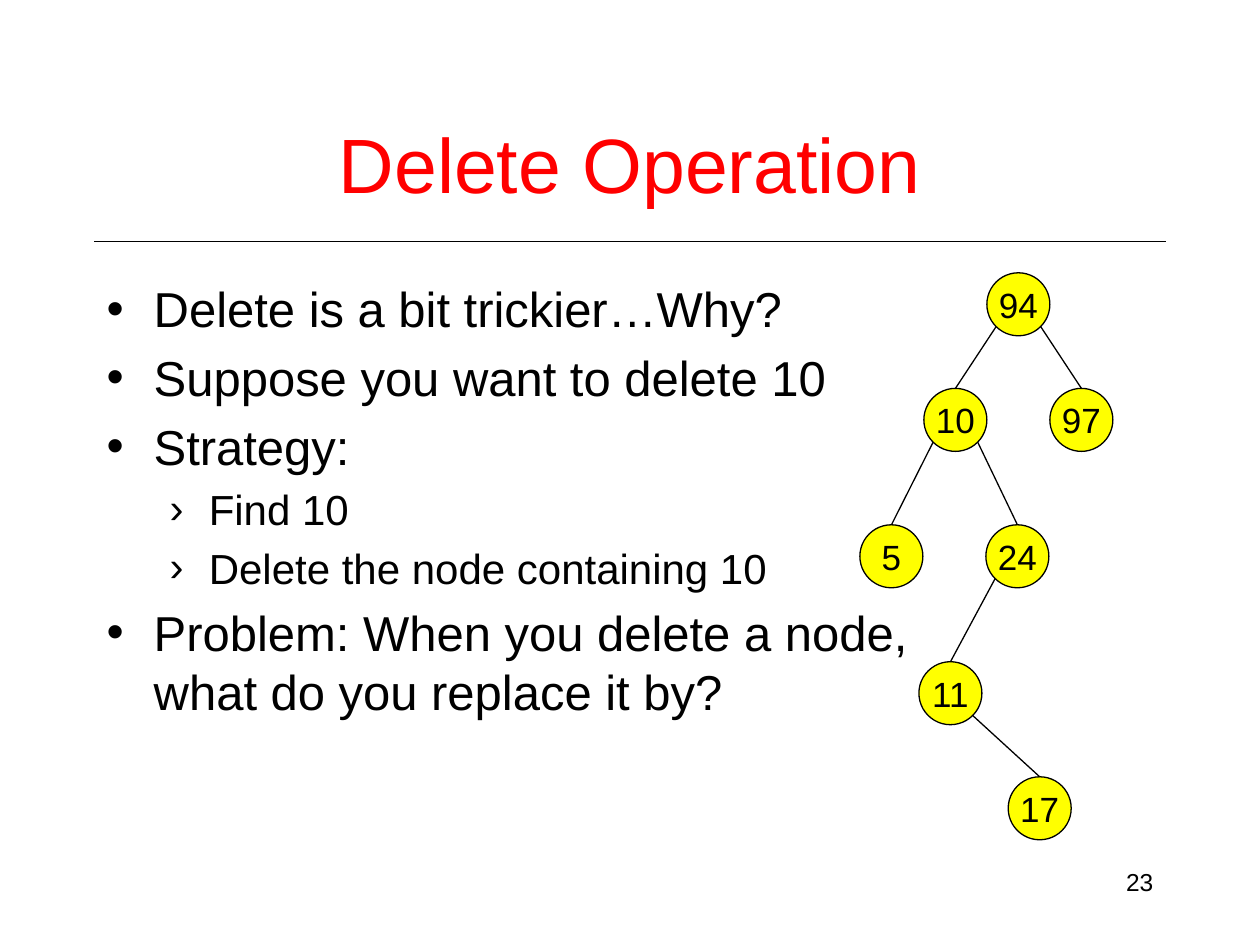
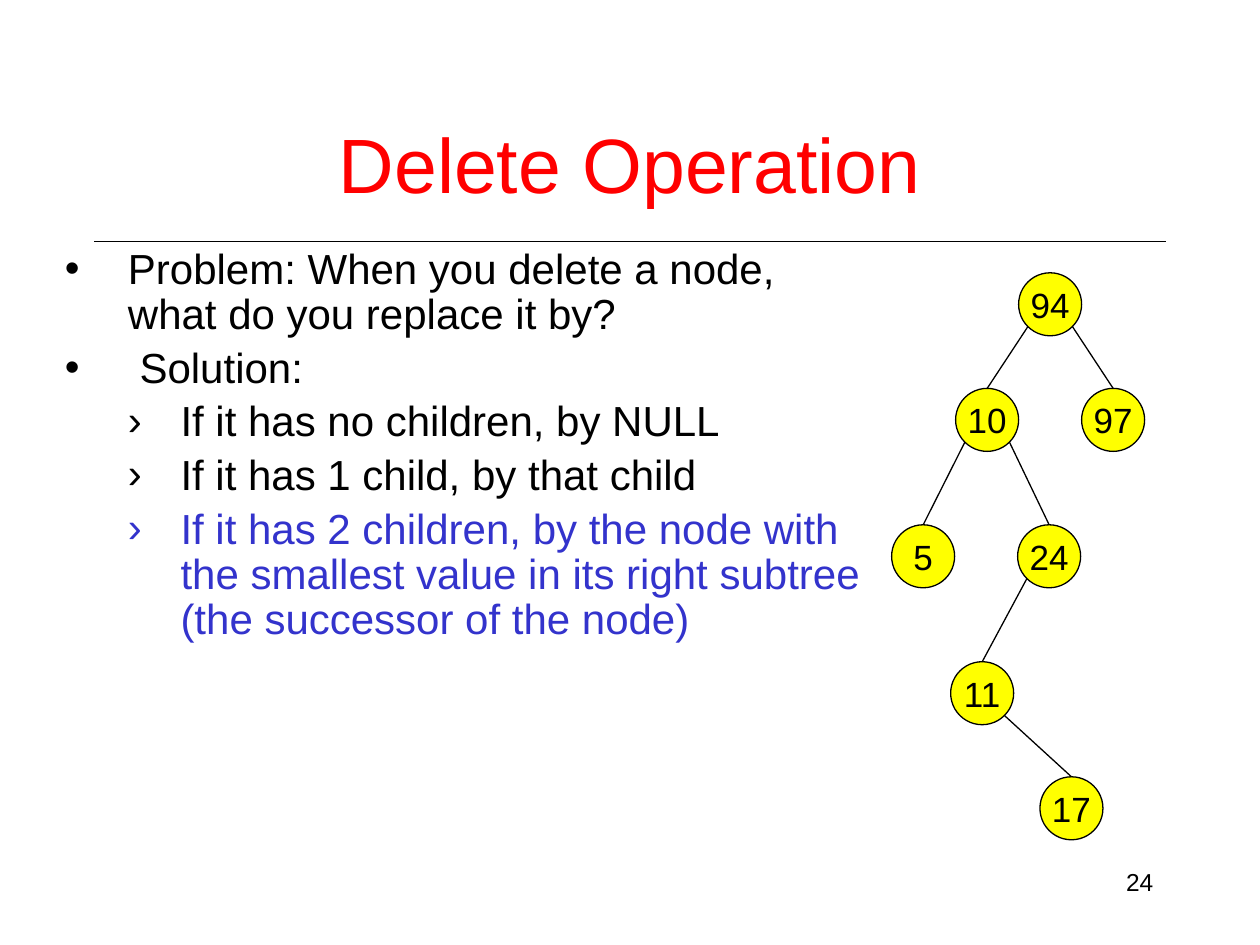
from dataclasses import dataclass
from typing import Optional

from lxml.etree import SubElement
from pptx import Presentation
from pptx.dml.color import RGBColor
from pptx.enum.shapes import MSO_CONNECTOR as Connector, MSO_SHAPE as Shape
from pptx.enum.text import MSO_ANCHOR as Anchor, PP_ALIGN as Align
from pptx.oxml.ns import qn
from pptx.util import Cm, Pt

FONT = "Arial"
BLACK, RED, YELLOW, BLUE, WHITE = "000000", "FF0000", "FFFF00", "3333CC", "FFFFFF"
MARGIN, CONTENT_WIDTH, RULE_TOP = 1.9, 21.6, 4.87
DIAMETER = 1.27
EDGE_OFFSET = 0.45  # from a node's centre to its lower diagonal points
BULLETS = ("\u2022", "\u203a")


@dataclass(frozen=True)
class Node:
    """A tree node: centre relative to the root, top edge, and parent."""
    key: str
    shift: float
    top: float
    parent: Optional[str] = None


@dataclass(frozen=True)
class Item:
    """One paragraph of the outline; a continuation has no bullet."""
    text: str
    level: int = 0
    colour: str = BLACK
    continued: bool = False


@dataclass(frozen=True)
class Outline:
    """Place and text style of a bulleted list, one value per level."""
    left: float
    top: float
    height: float
    sizes: tuple[int, int]
    margins: tuple[float, float]
    hangs: tuple[float, float]
    spacing: float
    items: tuple[Item, ...]


@dataclass(frozen=True)
class Lesson:
    """What differs from one slide to the next."""
    number: int
    root_x: float
    outline: Outline


TREE = (
    Node("94", 0, 5.5),
    Node("10", -1.27, 7.83, "94"),
    Node("97", 1.27, 7.83, "94"),
    Node("5", -2.56, 10.58, "10"),
    Node("24", -0.02, 10.58, "10"),
    Node("11", -1.37, 13.34, "24"),
    Node("17", 0.43, 15.66, "11"),
)

QUESTION = (
    Item("Problem: When you delete a node,"),
    Item("what do you replace it by?", continued=True),
)

LESSONS = (
    Lesson(23, 20.53, Outline(
        MARGIN, 5.5, 11.43, (28, 24), (0.95, 2.06), (0.95, 0.79), 1.0,
        (
            Item("Delete is a bit trickier\u2026Why?"),
            Item("Suppose you want to delete 10"),
            Item("Strategy:"),
            Item("Find 10", 1),
            Item("Delete the node containing 10", 1),
            *QUESTION,
        ))),
    Lesson(24, 21.17, Outline(
        1.06, RULE_TOP, 8.89, (24, 24), (1.27, 2.33), (1.27, 1.06), 0.9,
        (
            *QUESTION,
            Item(" Solution:"),
            Item("If it has no children, by NULL", 1),
            Item("If it has 1 child, by that child", 1),
            Item("If it has 2 children, by the node with\v"
                 "the smallest value in its right subtree\v"
                 "(the successor of the node)", 1, BLUE),
        ))),
)


def rgb(value: str) -> RGBColor:
    """Turn a hex string into a colour."""
    return RGBColor.from_string(value)


def style_text(para, size: int, colour: str = BLACK, align=Align.LEFT) -> None:
    """Give every run of a paragraph its font, size and colour."""
    para.alignment = align
    for span in para.runs:
        span.font.name = FONT
        span.font.size = Pt(size)
        span.font.color.rgb = rgb(colour)


def add_line(page, x1: float, y1: float, x2: float, y2: float) -> None:
    """Draw a thin black line without a shadow."""
    line = page.shapes.add_connector(
        Connector.STRAIGHT, Cm(x1), Cm(y1), Cm(x2), Cm(y2))
    line.line.color.rgb = rgb(BLACK)
    line.line.width = Pt(0.75)
    SubElement(line._element.spPr, qn("a:effectLst"))


def add_frame(page, number: int) -> None:
    """Add the title, the rule below it and the page number."""
    title = page.shapes.title
    title.left, title.top = Cm(MARGIN), Cm(1.69)
    title.width, title.height = Cm(CONTENT_WIDTH), Cm(3.18)
    title.text_frame.text = "Delete Operation"
    title.text_frame.vertical_anchor = Anchor.MIDDLE
    style_text(title.text_frame.paragraphs[0], 44, RED, Align.CENTER)
    add_line(page, MARGIN, RULE_TOP, MARGIN + CONTENT_WIDTH, RULE_TOP)
    box = page.shapes.add_textbox(Cm(18.2), Cm(17.35), Cm(5.3), Cm(1.27))
    box.text_frame.word_wrap = True
    box.text_frame.text = str(number)
    style_text(box.text_frame.paragraphs[0], 14, align=Align.RIGHT)


def format_item(para, item: Item, outline: Outline) -> None:
    """Set the spacing, indent, bullet and font of one list paragraph."""
    style_text(para, outline.sizes[item.level], item.colour)
    para.level = item.level
    para.line_spacing = outline.spacing
    properties = para._p.get_or_add_pPr()
    properties.set("marL", str(Cm(outline.margins[item.level])))
    if item.continued:
        properties.set("indent", "0")
        SubElement(properties, qn("a:buNone"))
        return
    properties.set("indent", str(-Cm(outline.hangs[item.level])))
    before = SubElement(properties, qn("a:spcBef"))
    SubElement(before, qn("a:spcPct"), val="20000")
    SubElement(properties, qn("a:buFont"), typeface=FONT)
    SubElement(properties, qn("a:buChar"), char=BULLETS[item.level])


def add_outline(page, outline: Outline) -> None:
    """Add the bulleted list."""
    box = page.shapes.add_textbox(Cm(outline.left), Cm(outline.top),
                                  Cm(CONTENT_WIDTH), Cm(outline.height))
    frame = box.text_frame
    frame.word_wrap = True
    for index, item in enumerate(outline.items):
        para = frame.add_paragraph() if index else frame.paragraphs[0]
        para.text = item.text
        format_item(para, item, outline)


def add_node(page, node: Node, root_x: float) -> None:
    """Draw a yellow circle with its key."""
    circle = page.shapes.add_shape(
        Shape.OVAL, Cm(root_x + node.shift - DIAMETER / 2), Cm(node.top),
        Cm(DIAMETER), Cm(DIAMETER))
    circle.shadow.inherit = False
    circle.fill.solid()
    circle.fill.fore_color.rgb = rgb(YELLOW)
    circle.line.color.rgb = rgb(BLACK)
    circle.line.width = Pt(0.75)
    frame = circle.text_frame
    frame.word_wrap = False
    frame.vertical_anchor = Anchor.MIDDLE
    frame.text = node.key
    style_text(frame.paragraphs[0], 20, align=Align.CENTER)


def add_tree(page, root_x: float) -> None:
    """Draw the nodes, then an edge from each parent to its child's top."""
    nodes = {node.key: node for node in TREE}
    for node in TREE:
        add_node(page, node, root_x)
    for node in TREE:
        if node.parent is None:
            continue
        parent = nodes[node.parent]
        side = EDGE_OFFSET if node.shift > parent.shift else -EDGE_OFFSET
        add_line(page, root_x + parent.shift + side,
                 parent.top + DIAMETER / 2 + EDGE_OFFSET,
                 root_x + node.shift, node.top)


def build() -> None:
    """Build and save the deck."""
    deck = Presentation()
    deck.slide_width, deck.slide_height = Cm(25.4), Cm(19.05)
    for lesson in LESSONS:
        page = deck.slides.add_slide(deck.slide_layouts[5])
        page.background.fill.solid()
        page.background.fill.fore_color.rgb = rgb(WHITE)
        add_frame(page, lesson.number)
        add_outline(page, lesson.outline)
        add_tree(page, lesson.root_x)
    deck.save("out.pptx")


build()
